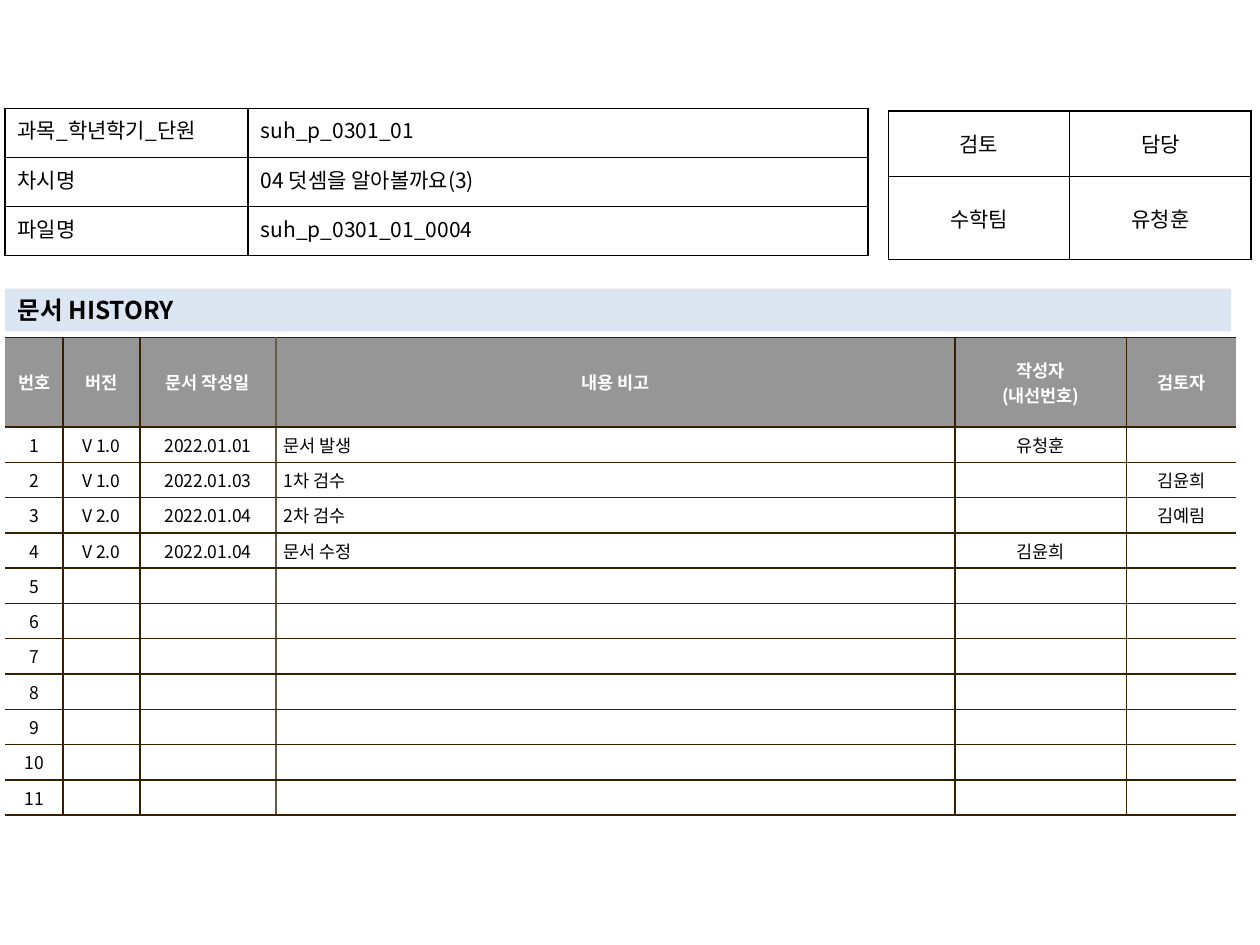
from pptx import Presentation
from pptx.util import Inches, Pt
from pptx.dml.color import RGBColor as RGB
from pptx.enum.text import PP_ALIGN as AL, MSO_ANCHOR as ANC, MSO_AUTO_SIZE as AUTO
from pptx.oxml.ns import qn
from lxml.etree import SubElement as Sub

FONT = "Noto Sans CJK KR"
HUES = {"ink": "000000", "white": "FFFFFF", "gray": "969696",
        "bar": "DCE6F2", "brown": "362000", "dust": "645B4C"}

deck = Presentation()
deck.slide_width, deck.slide_height = Inches(10), Inches(7.5)
slide = deck.slides.add_slide(deck.slide_layouts[5])


def style(frame, size, hue, bold, align):
    for para in frame.paragraphs:
        para.alignment = align
        for run in para.runs:
            look = {"size": Pt(size), "name": FONT, "bold": bold}
            for key, value in look.items():
                setattr(run.font, key, value)
            run.font.color.rgb = RGB.from_string(HUES[hue])
            Sub(run.font._element, qn("a:ea"), typeface=FONT)
        if not para.runs:
            Sub(para._p, qn("a:endParaRPr"), sz=str(size * 100))


def table(box, cols, rows, data, form):
    grid = slide.shapes.add_table(len(rows), len(cols), *map(Inches, box)).table
    grid.first_row = grid.horz_banding = False
    for c, wide in enumerate(cols):
        grid.columns[c].width = Inches(wide)
    for r, high in enumerate(rows):
        grid.rows[r].height = Inches(high)
        for c, text in enumerate(data[r]):
            cell = grid.cell(r, c)
            cell.text = text
            pad_x, pad_y = map(Inches, form["pad"])
            spec = {"margin_left": pad_x, "margin_right": pad_x, "margin_top": pad_y,
                    "margin_bottom": pad_y, "vertical_anchor": form["anchor"]}
            for key, value in spec.items():
                setattr(cell, key, value)
            head = form["head"] and r == 0
            align = AL.CENTER if head else form["align"][c]
            style(cell.text_frame, form["size"], "white" if head else "ink", head, align)
            # Cell borders
            edges = {"lnL": form["lines"][c], "lnR": form["lines"][c + 1],
                     "lnT": form["rule"], "lnB": form["rule"]}
            for tag, hue in edges.items():
                line = Sub(cell._tc.get_or_add_tcPr(), qn("a:" + tag), w=str(Pt(1)))
                if hue:
                    fill = Sub(line, qn("a:solidFill"))
                    Sub(fill, qn("a:srgbClr"), val=HUES[hue])
                else:
                    Sub(line, qn("a:noFill"))
            # Cell fill
            if form["fill"]:
                cell.fill.solid()
                cell.fill.fore_color.rgb = RGB.from_string(HUES["gray" if head else form["fill"]])
            else:
                cell.fill.background()


# Heading bar
bar = slide.shapes.title
place = {"left": 0.04, "top": 2.29, "width": 9.73, "height": 0.34}
for key, value in place.items():
    setattr(bar, key, Inches(value))
bar.fill.solid()
bar.fill.fore_color.rgb = RGB.from_string(HUES["bar"])
frame = bar.text_frame
frame.text = "문서 HISTORY"
frame.auto_size, frame.vertical_anchor = AUTO.NONE, ANC.MIDDLE
style(frame, 14, "ink", True, AL.LEFT)

# Document history
data = [
    ["번호", "버전", "문서 작성일", "내용 비고", "작성자\n(내선번호)", "검토자"],
    ["1", "V 1.0", "2022.01.01", "문서 발생", "유청훈", ""],
    ["2", "V 1.0", "2022.01.03", "1차 검수", "", "김윤희"],
    ["3", "V 2.0", "2022.01.04", "2차 검수", "", "김예림"],
    ["4", "V 2.0", "2022.01.04", "문서 수정", "김윤희", ""],
]
data += [[str(n)] + [""] * 5 for n in range(5, 12)]
table((0.04, 2.68, 9.77, 3.79), [0.46, 0.61, 1.08, 5.39, 1.36, 0.87],
      [0.71] + [0.28] * 11, data,
      {"size": 10, "pad": (0.06, 0.04), "anchor": ANC.MIDDLE, "head": True,
       "align": [AL.CENTER] * 3 + [AL.LEFT] + [AL.CENTER] * 2, "fill": "white",
       "rule": "brown",
       "lines": [None, "brown", "brown", "dust", "brown", "brown", None]})

# Review and lesson tables
plain = {"size": 12, "pad": (0.1, 0.05), "head": False, "fill": None,
         "rule": "ink", "lines": ["ink"] * 3}
table((7.05, 0.88, 2.88, 1.18), [1.44] * 2, [0.52, 0.66],
      [["검토", "담당"], ["수학팀", "유청훈"]],
      {**plain, "anchor": ANC.MIDDLE, "align": [AL.CENTER] * 2})
table((0.04, 0.86, 6.85, 1.18), [1.93, 4.92], [0.39] * 3,
      [["과목_학년학기_단원", "suh_p_0301_01"],
       ["차시명", "04 덧셈을 알아볼까요(3)"],
       ["파일명", "suh_p_0301_01_0004"]],
      {**plain, "anchor": ANC.TOP, "align": [AL.JUSTIFY, AL.LEFT]})

deck.save("out.pptx")
